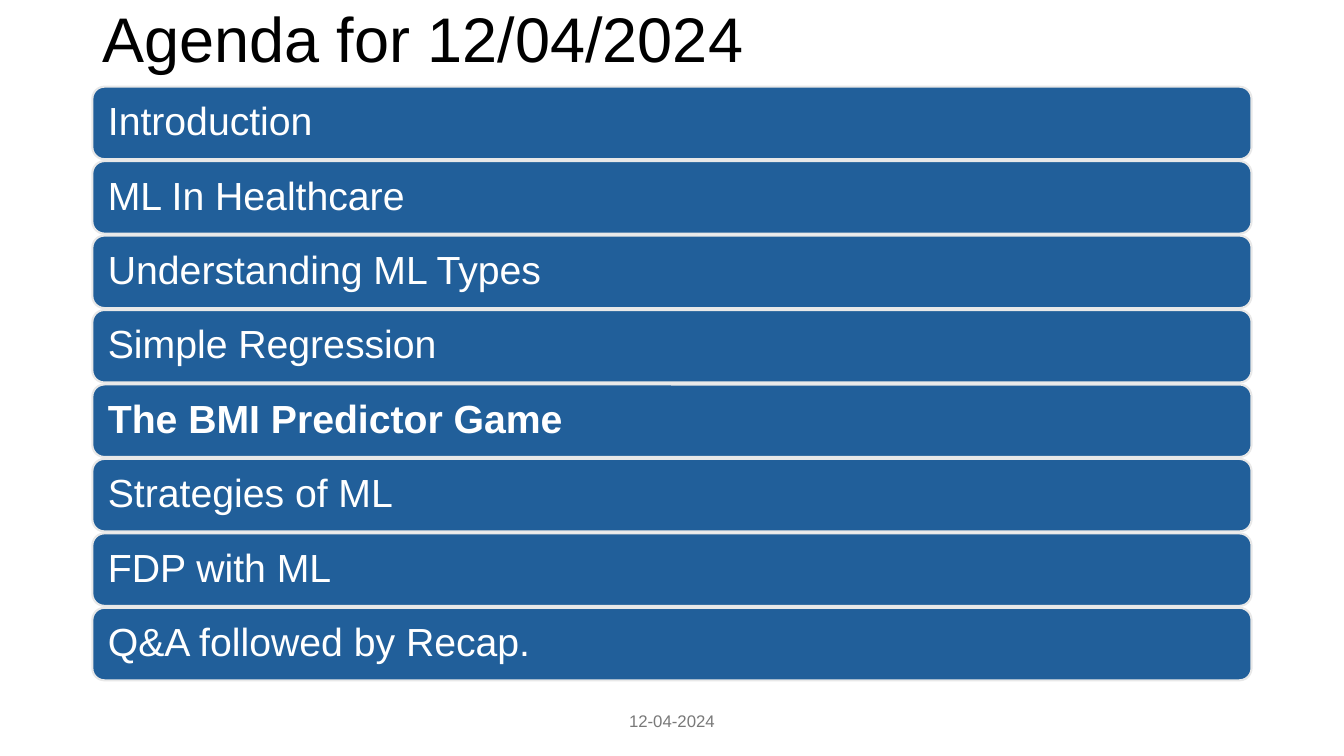
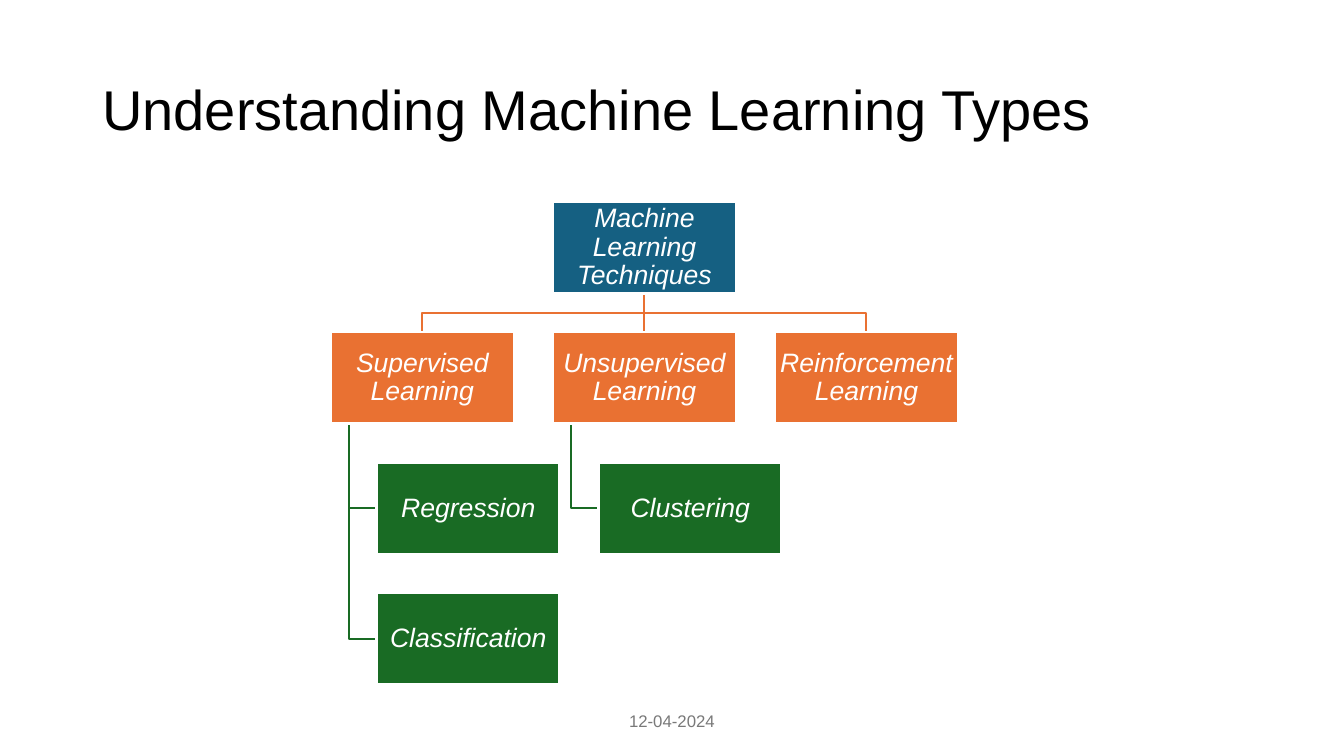
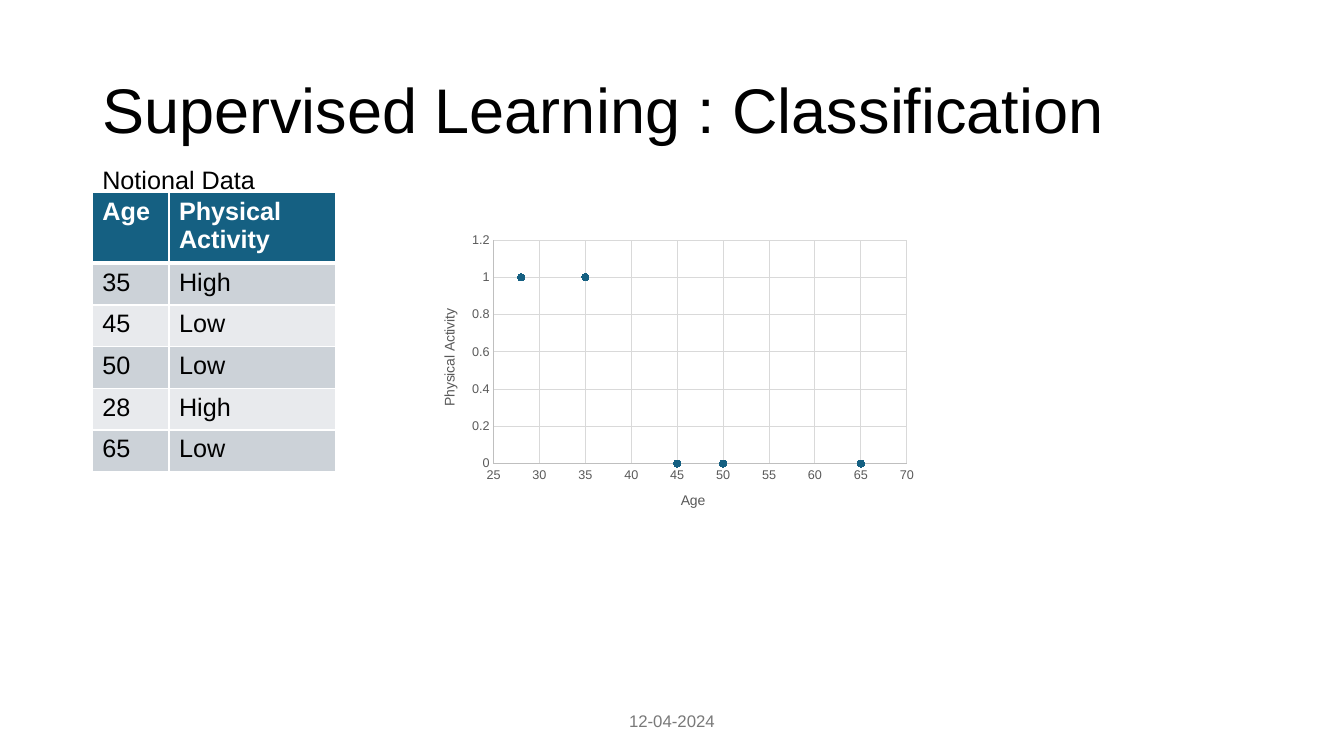
"""Build a three-slide machine learning lecture: agenda, taxonomy and classification data."""
from dataclasses import dataclass
from typing import NamedTuple, Optional

from lxml.etree import SubElement
from pptx import Presentation
from pptx.chart.axis import ValueAxis
from pptx.chart.data import XyChartData
from pptx.dml.color import RGBColor
from pptx.enum.chart import XL_CHART_TYPE as ChartType
from pptx.enum.chart import XL_MARKER_STYLE as Marker
from pptx.enum.chart import XL_TICK_MARK as Tick
from pptx.enum.shapes import MSO_CONNECTOR as Connector
from pptx.enum.shapes import MSO_SHAPE as Shape
from pptx.enum.text import MSO_ANCHOR as Anchor
from pptx.enum.text import PP_ALIGN as Align
from pptx.oxml.ns import qn
from pptx.slide import Slide
from pptx.table import _Cell as Cell
from pptx.text.text import TextFrame
from pptx.util import Pt


@dataclass(frozen=True)
class Theme:
    font: str = "Arial"
    black: str = "000000"
    white: str = "FFFFFF"
    footer: str = "797979"
    agenda: str = "215F9A"
    agenda_edge: str = "E8E8E8"
    teal: str = "156082"
    orange: str = "E97132"
    green: str = "196B24"
    band_dark: str = "CCD2D8"
    band_light: str = "E8EAED"
    axis_text: str = "595959"
    axis_line: str = "BFBFBF"
    grid: str = "D9D9D9"
    title_size: float = 45
    long_title_size: float = 40
    agenda_size: float = 28
    node_size: float = 19
    body_size: float = 18
    footer_size: float = 12
    axis_title_size: float = 10
    tick_size: float = 9


THEME = Theme()


class Box(NamedTuple):
    left: float
    top: float
    width: float
    height: float


class Style(NamedTuple):
    size: float
    color: str = THEME.black
    bold: bool = False
    italic: bool = False


class Topic(NamedTuple):
    text: str
    bold: bool = False


class Branch(NamedTuple):
    text: str
    methods: tuple[str, ...] = ()


class Person(NamedTuple):
    age: int
    activity: str


LEFT, CONTENT_WIDTH = 66, 828
TITLE_BOX = Box(LEFT, 28.8, CONTENT_WIDTH, 103.5)
FOOTER_BOX = Box(318, 500.5, 324, 28.8)

AGENDA = (
    Topic("Introduction"),
    Topic("ML In Healthcare"),
    Topic("Understanding ML Types"),
    Topic("Simple Regression"),
    Topic("The BMI Predictor Game", bold=True),
    Topic("Strategies of ML"),
    Topic("FDP with ML"),
    Topic("Q&A followed by Recap."),
)
BRANCHES = (
    Branch("Supervised Learning", ("Regression", "Classification")),
    Branch("Unsupervised Learning", ("Clustering",)),
    Branch("Reinforcement Learning"),
)
PEOPLE = (
    Person(35, "High"),
    Person(45, "Low"),
    Person(50, "Low"),
    Person(28, "High"),
    Person(65, "Low"),
)


def rgb(color: str) -> RGBColor:
    return RGBColor.from_string(color)


def write(frame: TextFrame, text: str, style: Style,
          align: Align = Align.LEFT, spacing: Optional[float] = None) -> None:
    paragraph = frame.paragraphs[0]
    paragraph.alignment = align
    if spacing:
        paragraph.line_spacing = spacing
    run = paragraph.add_run()
    run.text = text
    run.font.name = THEME.font
    run.font.size = Pt(style.size)
    run.font.bold = style.bold
    run.font.italic = style.italic
    run.font.color.rgb = rgb(style.color)


def add_label(slide: Slide, box: Box, text: str, style: Style, align: Align = Align.LEFT,
              anchor: Anchor = Anchor.MIDDLE, spacing: Optional[float] = None) -> None:
    frame = slide.shapes.add_textbox(*map(Pt, box)).text_frame
    frame.word_wrap = True
    frame.vertical_anchor = anchor
    write(frame, text, style, align, spacing)


def add_panel(slide: Slide, kind: Shape, box: Box, fill: str, edge: str, edge_width: float,
              inset: float, text: str, style: Style, align: Align) -> None:
    panel = slide.shapes.add_shape(kind, *map(Pt, box))
    panel.shadow.inherit = False
    panel.fill.solid()
    panel.fill.fore_color.rgb = rgb(fill)
    panel.line.color.rgb = rgb(edge)
    panel.line.width = Pt(edge_width)
    frame = panel.text_frame
    frame.word_wrap = True
    frame.vertical_anchor = Anchor.MIDDLE
    frame.margin_left = frame.margin_right = Pt(inset)
    frame.margin_top = frame.margin_bottom = Pt(inset)
    write(frame, text, style, align, 0.9)


def add_route(slide: Slide, color: str, *points: tuple[float, float]) -> None:
    corners = [(Pt(x), Pt(y)) for x, y in points]
    if len(corners) == 2:
        route = slide.shapes.add_connector(Connector.STRAIGHT, *corners[0], *corners[1])
        SubElement(route.element.spPr, qn("a:effectLst"))
    else:
        builder = slide.shapes.build_freeform(*corners[0])
        builder.add_line_segments(corners[1:], close=False)
        route = builder.convert_to_shape()
        route.shadow.inherit = False
        route.fill.background()
    route.line.color.rgb = rgb(color)
    route.line.width = Pt(1.5)


def start_slide(deck: Presentation, title: str, size: float = THEME.title_size,
                box: Box = TITLE_BOX) -> Slide:
    slide = deck.slides.add_slide(deck.slide_layouts[6])
    add_label(slide, box, title, Style(size), spacing=0.9)
    add_label(slide, FOOTER_BOX, "12-04-2024",
              Style(THEME.footer_size, THEME.footer), Align.CENTER)
    return slide


def build_agenda(deck: Presentation) -> None:
    slide = start_slide(deck, "Agenda for 12/04/2024", box=Box(LEFT, 7.2, 816.5, 46))
    top, step, height = 61.9, 53.18, 51.8
    for index, topic in enumerate(AGENDA):
        add_panel(slide, Shape.ROUNDED_RECTANGLE,
                  Box(LEFT, top + index * step, CONTENT_WIDTH, height),
                  THEME.agenda, THEME.agenda_edge, 1.5, 8.6, topic.text,
                  Style(THEME.agenda_size, THEME.white, bold=topic.bold), Align.LEFT)


def build_taxonomy(deck: Presentation) -> None:
    slide = start_slide(deck, "Understanding Machine Learning Types", THEME.long_title_size)
    left, top, width, height = 236.2, 144, 131, 65.5
    column_step, row_step = 158.6, 93.2
    root_left = left + column_step
    root_x, root_bottom = root_left + width / 2, top + height
    branch_top = top + row_step
    fork_y = (root_bottom + branch_top) / 2
    nodes = [(Box(root_left, top, width, height), THEME.teal, "Machine Learning Techniques")]

    for column, branch in enumerate(BRANCHES):
        branch_left = left + column * column_step
        branch_x = branch_left + width / 2
        nodes.append((Box(branch_left, branch_top, width, height), THEME.orange, branch.text))
        bends = [] if branch_left == root_left else [(root_x, fork_y), (branch_x, fork_y)]
        add_route(slide, THEME.orange, (root_x, root_bottom), *bends, (branch_x, branch_top))
        trunk_x, method_left = branch_left + width / 10, branch_left + width / 4
        for row, method in enumerate(branch.methods, start=1):
            method_top = branch_top + row * row_step
            method_y = method_top + height / 2
            nodes.append((Box(method_left, method_top, width, height), THEME.green, method))
            add_route(slide, THEME.green, (trunk_x, branch_top + height),
                      (trunk_x, method_y), (method_left, method_y))

    for box, fill, text in nodes:
        add_panel(slide, Shape.RECTANGLE, box, fill, THEME.white, 2, 0.9, text,
                  Style(THEME.node_size, THEME.white, italic=True), Align.CENTER)


def edge_cell(cell: Cell, top: float, bottom: float) -> None:
    properties = cell._tc.get_or_add_tcPr()
    for side, width in (("L", 1), ("R", 1), ("T", top), ("B", bottom)):
        edge = SubElement(properties, qn(f"a:ln{side}"), w=str(Pt(width)))
        SubElement(SubElement(edge, qn("a:solidFill")), qn("a:srgbClr"), val=THEME.white)


def add_people_table(slide: Slide) -> None:
    rows = [("Age", "Physical Activity"), *((str(p.age), p.activity) for p in PEOPLE)]
    widths, row_height = (54.7, 118.8), 29.8
    table = slide.shapes.add_table(len(rows), len(widths), Pt(LEFT), Pt(137.6),
                                   Pt(sum(widths)), Pt(row_height * len(rows))).table
    table.horz_banding = False
    for column, width in zip(table.columns, widths):
        column.width = Pt(width)
    for index, texts in enumerate(rows):
        heading = index == 0
        band = THEME.band_dark if index % 2 else THEME.band_light
        style = Style(THEME.body_size, THEME.white if heading else THEME.black, bold=heading)
        for column, text in enumerate(texts):
            cell = table.cell(index, column)
            edge_cell(cell, 3 if index == 1 else 1, 3 if heading else 1)
            cell.fill.solid()
            cell.fill.fore_color.rgb = rgb(THEME.teal if heading else band)
            write(cell.text_frame, text, style)


def style_axis(axis: ValueAxis, title: str, low: float, high: float, step: float) -> None:
    axis.minimum_scale, axis.maximum_scale, axis.major_unit = low, high, step
    axis.major_tick_mark = axis.minor_tick_mark = Tick.NONE
    axis.has_major_gridlines = True
    for line, color in ((axis.format.line, THEME.axis_line),
                        (axis.major_gridlines.format.line, THEME.grid)):
        line.color.rgb = rgb(color)
        line.width = Pt(0.75)
    labels = axis.tick_labels
    labels.number_format, labels.number_format_is_linked = "General", False
    labels.font.name = THEME.font
    labels.font.size = Pt(THEME.tick_size)
    labels.font.color.rgb = rgb(THEME.axis_text)
    write(axis.axis_title.text_frame, title,
          Style(THEME.axis_title_size, THEME.axis_text), Align.CENTER)


def add_activity_chart(slide: Slide) -> None:
    data = XyChartData()
    points = data.add_series("Series 1")
    for person in PEOPLE:
        points.add_data_point(person.age, int(person.activity == "High"))
    chart = slide.shapes.add_chart(ChartType.XY_SCATTER, Pt(300), Pt(162),
                                   Pt(360), Pt(216), data).chart
    chart.has_legend = chart.has_title = False
    chart.font.name = THEME.font
    chart.font.size = Pt(THEME.axis_title_size)
    chart.font.color.rgb = rgb(THEME.black)
    style_axis(chart.category_axis, "Age", 25, 70, 5)
    style_axis(chart.value_axis, "Physical Activity", 0, 1.2, 0.2)
    plot = chart.plots[0]
    plot.vary_by_categories = False
    activity = plot.series[0]
    activity.smooth = False
    activity.format.line.fill.background()
    activity.marker.style, activity.marker.size = Marker.CIRCLE, 5
    dot = activity.marker.format
    dot.fill.solid()
    dot.fill.fore_color.rgb = rgb(THEME.teal)
    dot.line.color.rgb = rgb(THEME.teal)


def build_classification(deck: Presentation) -> None:
    slide = start_slide(deck, "Supervised Learning : Classification")
    add_people_table(slide)
    add_label(slide, Box(LEFT, 113.8, 225.4, 28.8), "Notional Data",
              Style(THEME.body_size), anchor=Anchor.TOP)
    add_activity_chart(slide)


def main() -> None:
    deck = Presentation()
    deck.slide_width, deck.slide_height = Pt(960), Pt(540)
    build_agenda(deck)
    build_taxonomy(deck)
    build_classification(deck)
    deck.save("out.pptx")


if __name__ == "__main__":
    main()
